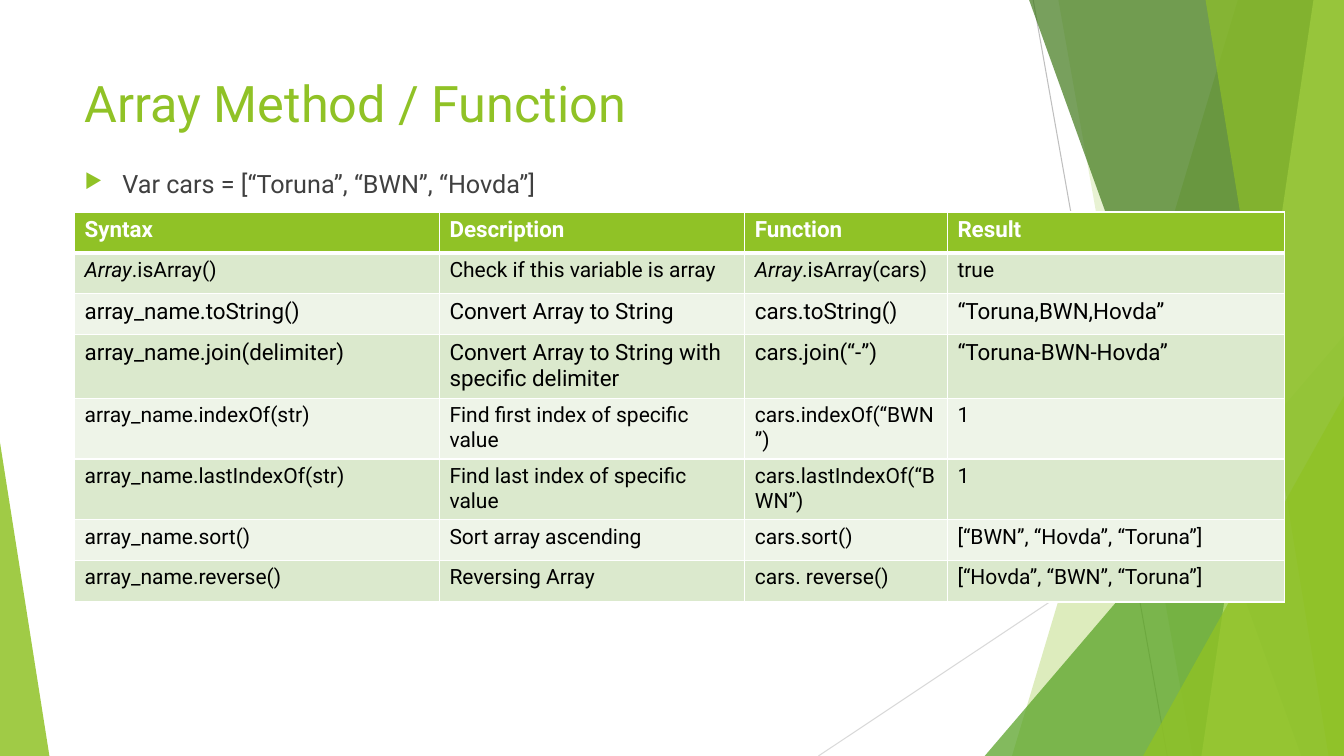
import pptx
import pptx.util
import pptx.dml.color
import pptx.enum.shapes
import pptx.oxml.ns
import pptx.oxml.xmlchemy

Pt = pptx.util.Pt
SHAPE = pptx.enum.shapes.MSO_SHAPE
qn = pptx.oxml.ns.qn
new_element = pptx.oxml.xmlchemy.OxmlElement

W, H = 960, 540
FONT = "Roboto"
GREEN = "90C226"
LEFT = 53.3

RAYS = [(738, 0, 833.8, H, "BFBFBF"), (W, 290, 584.6, H, "D9D9D9")]
BACKDROP = [
    ("band", 884.2, 722.9, GREEN, 30),
    ("band", 756, 851.8, GREEN, 20),
    ("triangle", 703.4, 239.8, W, 1, "54A021", 72),
    ("band", 735.1, 929.5, "3F7819", 70),
    ("band", 938.2, 858.2, "C0E474", 70),
    ("band", 861.1, 949, GREEN, 65),
    ("triangle", 816.5, 283, W, 1, GREEN, 80),
    ("triangle", 0, 316.1, 35.3, 0, GREEN, 85),
]
TITLE = "Array Method / Function"
EXAMPLE = "Var cars = [“Toruna”, “BWN”, “Hovda”]"

COLS = [260.6, 218.2, 144.7, 240.5]
ROWS = [
    (29.2, 16, ["Syntax", "Description", "Function", "Result"]),
    (29.2, 15, ["Array|.isArray()", "Check if this variable is array",
                "Array|.isArray(cars)", "true"]),
    (29.2, 16, ["array_name.toString()", "Convert Array to String",
                "cars.toString()", "“Toruna,BWN,Hovda”"]),
    (44, 16, ["array_name.join(delimiter)",
              "Convert Array to String with specific delimiter",
              "cars.join(“-”)", "“Toruna-BWN-Hovda”"]),
    (42.5, 15, ["array_name.indexOf(str)", "Find first index of specific value",
                "cars.indexOf(“BWN”)", "1"]),
    (42.5, 15, ["array_name.lastIndexOf(str)", "Find last index of specific value",
                "cars.lastIndexOf(“BWN”)", "1"]),
    (29.2, 15, ["array_name.sort()", "Sort array ascending",
                "cars.sort()", "[“BWN”, “Hovda”, “Toruna”]"]),
    (29.8, 15, ["array_name.reverse()", "Reversing Array",
                "cars. reverse()", "[“Hovda”, “BWN”, “Toruna”]"]),
]


def rgb(color):
    return pptx.dml.color.RGBColor.from_string(color)


def add(parent, tag, **attrs):
    el = new_element(tag)
    for name, value in attrs.items():
        el.set(name, str(value))
    parent.append(el)
    return el


def add_run(p, text, size, color, bold=False, italic=False):
    r = p.add_run()
    r.text = text
    f = r.font
    f.name, f.size, f.bold, f.italic = FONT, Pt(size), bold, italic
    f.color.rgb = rgb(color)


def add_text(s, top, height, text, size, color):
    sp = s.shapes.add_textbox(Pt(LEFT), Pt(top), Pt(677), Pt(height))
    sp.text_frame.word_wrap = True
    p = sp.text_frame.paragraphs[0]
    add_run(p, text, size, color)
    return p


def paint(sp, color, opacity):
    sp.shadow.inherit = False
    sp.line.fill.background()
    sp.fill.solid()
    sp.fill.fore_color.rgb = rgb(color)
    clr = sp._element.spPr.find(qn("a:solidFill"))[0]
    add(clr, "a:alpha", val=opacity * 1000)


def add_band(s, top_x, bottom_x):
    fb = s.shapes.build_freeform(Pt(top_x), 0)
    fb.add_line_segments([(Pt(W), 0), (Pt(W), Pt(H)), (Pt(bottom_x), Pt(H))])
    return fb.convert_to_shape()


def add_triangle(s, left, top, right, apex):
    sp = s.shapes.add_shape(SHAPE.ISOSCELES_TRIANGLE, Pt(left), Pt(top),
                            Pt(right - left), Pt(H - top))
    sp.adjustments[0] = apex
    return sp


def add_borders(cell, bottom):
    tcPr = cell._tc.get_or_add_tcPr()
    for i, (side, width) in enumerate(zip("LRTB", (1, 1, 1, bottom))):
        ln = new_element("a:ln" + side)
        ln.set("w", str(Pt(width)))
        add(add(ln, "a:solidFill"), "a:srgbClr", val="FFFFFF")
        tcPr.insert(i, ln)


def add_method_table(s):
    total = sum(height for height, _, _ in ROWS)
    table = s.shapes.add_table(len(ROWS), len(COLS), Pt(LEFT), Pt(151.4),
                               Pt(sum(COLS)), Pt(total)).table
    for column, width in zip(table.columns, COLS):
        column.width = Pt(width)
    for i, (height, size, texts) in enumerate(ROWS):
        table.rows[i].height = Pt(height)
        header = i == 0
        fill = GREEN if header else ("EEF4E8", "DBE9CD")[i % 2]
        for j, text in enumerate(texts):
            cell = table.cell(i, j)
            cell.fill.solid()
            cell.fill.fore_color.rgb = rgb(fill)
            add_borders(cell, 3 if header else 1)
            parts = text.split("|")
            for k, part in enumerate(parts):
                add_run(cell.text_frame.paragraphs[0], part, size,
                        "FFFFFF" if header else "000000", header,
                        k < len(parts) - 1)


prs = pptx.Presentation()
prs.slide_width, prs.slide_height = Pt(W), Pt(H)
s = prs.slides.add_slide(prs.slide_layouts[6])

for x1, y1, x2, y2, color in RAYS:
    ray = s.shapes.add_connector(pptx.enum.shapes.MSO_CONNECTOR.STRAIGHT,
                                 Pt(x1), Pt(y1), Pt(x2), Pt(y2))
    ray.line.color.rgb = rgb(color)
    ray.line.width = Pt(0.75)
    add(ray._element.spPr, "a:effectLst")

DRAW = {"band": add_band, "triangle": add_triangle}
for kind, *place, color, opacity in BACKDROP:
    paint(DRAW[kind](s, *place), color, opacity)

add_text(s, 48.2, 68.4, TITLE, 36, GREEN)
add_method_table(s)
p = add_text(s, 116.6, 34.6, EXAMPLE, 18, "404040")
pPr = p._p.get_or_add_pPr()
pPr.set("marL", str(Pt(27)))
pPr.set("indent", str(Pt(-27)))
add(add(pPr, "a:buClr"), "a:srgbClr", val=GREEN)
add(pPr, "a:buSzPct", val=80000)
add(pPr, "a:buChar", char="▶")

prs.save("out.pptx")
